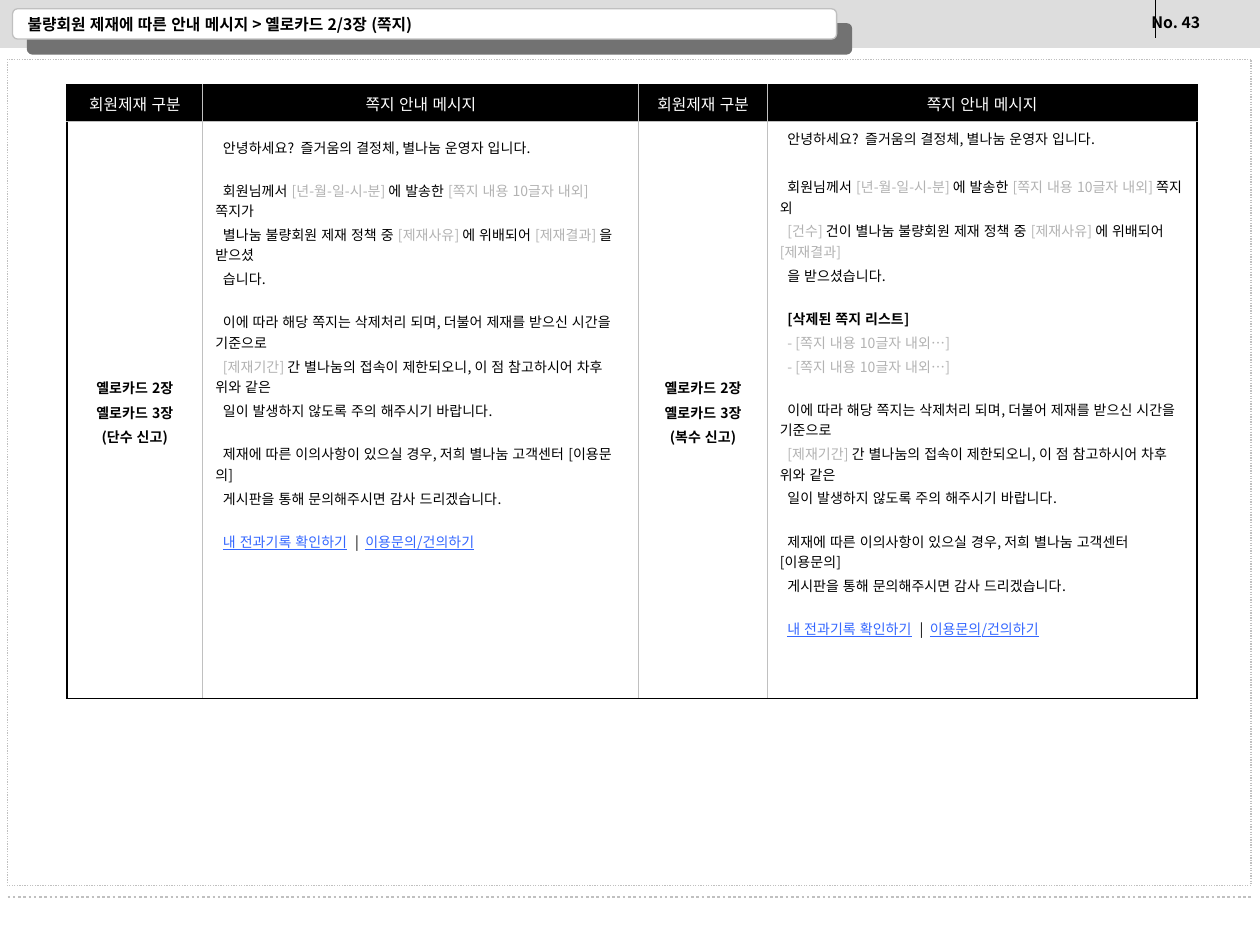
from lxml.etree import SubElement
from pptx import Presentation
from pptx.dml.color import RGBColor
from pptx.enum.dml import MSO_LINE
from pptx.enum.lang import MSO_LANGUAGE_ID
from pptx.enum.shapes import MSO_CONNECTOR, MSO_SHAPE
from pptx.enum.text import MSO_ANCHOR, PP_ALIGN
from pptx.oxml.ns import qn
from pptx.util import Inches, Pt

FONT = "Noto Sans CJK KR"
COLUMNS, ROWS = 100, 75
CELL = Inches(0.1)
COLORS = {"black": "000000", "white": "FFFFFF", "band": "DDDDDD", "rule": "C0C0C0",
          "shadow": "727272", "muted": "B2B2B2", "link": "3366FF"}
STYLES = {
    "title": ("black", {"size": Pt(9), "bold": True}),
    "header": ("white", {"size": Pt(9)}),
    "strong": ("black", {"size": Pt(8), "bold": True}),
    "body": ("black", {"size": Pt(8)}),
    "muted": ("muted", {"size": Pt(8)}),
    "link": ("link", {"size": Pt(8), "underline": True}),
}
HEADER_FORMAT = {"alignment": PP_ALIGN.CENTER}
LABEL_FORMAT = {"alignment": PP_ALIGN.CENTER, "line_spacing": 1.2}
BLOCK_GAP, LINE_GAP, FIRST_INDENT = 13, 2, Inches(0.06)

HEADINGS = ["회원제재 구분", "쪽지 안내 메시지"] * 2
COLUMN_WIDTHS = [10.8, 34.6, 10.2, 34.1]
ROW_HEIGHTS = [2.9, 45.8]
GREETING = (0, [[("body", "안녕하세요?  즐거움의 결정체, 별나눔 운영자 입니다.")]])
SENT = [("body", "회원님께서 "), ("muted", "[년-월-일-시-분] "), ("body", "에 발송한 "),
        ("muted", "[쪽지 내용 10글자 내외] ")]
DELETED_ITEM = [("muted", "- [쪽지 내용 10글자 내외…]")]
CLOSING = [
    (BLOCK_GAP, [
        [("body", "이에 따라 해당 쪽지는 삭제처리 되며, 더불어 제재를 받으신 시간을 기준으로")],
        [("muted", "[제재기간] "),
         ("body", "간 별나눔의 접속이 제한되오니, 이 점 참고하시어 차후 위와 같은")],
        [("body", "일이 발생하지 않도록 주의 해주시기 바랍니다.")],
    ]),
    (BLOCK_GAP, [
        [("body", "제재에 따른 이의사항이 있으실 경우, 저희 별나눔 고객센터 [이용문의]")],
        [("body", "게시판을 통해 문의해주시면 감사 드리겠습니다.")],
    ]),
    (BLOCK_GAP, [
        [("link", "내 전과기록 확인하기"), ("body", "  |  "), ("link", "이용문의/건의하기")],
    ]),
]
SINGLE_MESSAGE = [GREETING, (BLOCK_GAP, [
    SENT + [("body", "쪽지가")],
    [("body", "별나눔 불량회원 제재 정책 중 "), ("muted", "[제재사유] "),
     ("body", "에 위배되어 "), ("muted", "[제재결과] "), ("body", "을 받으셨")],
    [("body", "습니다.")],
])] + CLOSING
MULTIPLE_MESSAGE = [GREETING, (16, [
    SENT + [("body", "쪽지 외")],
    [("muted", "[건수] "), ("body", "건이 별나눔 불량회원 제재 정책 중 "),
     ("muted", "[제재사유] "), ("body", "에 위배되어 "), ("muted", "[제재결과]")],
    [("body", "을 받으셨습니다.")],
]), (BLOCK_GAP, [
    [("strong", "[삭제된 쪽지 리스트]")], DELETED_ITEM, DELETED_ITEM,
])] + CLOSING


def grid(*counts):
    """Turn counts of grid cells into lengths."""
    return [round(count * CELL) for count in counts]


def color(name):
    """Look up a named colour."""
    return RGBColor.from_string(COLORS[name])


def apply(target, values):
    """Set each attribute named in a dict of format values."""
    for name, value in values.items():
        setattr(target, name, value)


def add_span(para, text, style):
    """Add a styled run of text to a paragraph."""
    tone, values = STYLES[style]
    span = para.add_run()
    span.text = text
    apply(span.font, {"name": FONT, "language_id": MSO_LANGUAGE_ID.KOREAN, **values})
    span.font.color.rgb = color(tone)
    SubElement(span.font._element, qn("a:ea"), typeface=FONT)


def fill_lines(frame, lines, values):
    """Write lines of spans as paragraphs sharing one format."""
    for index, line in enumerate(lines):
        para = frame.add_paragraph() if index else frame.paragraphs[0]
        apply(para, values)
        for style, text in line:
            add_span(para, text, style)


def fill_message(frame, message):
    """Write message blocks with a wider gap before each block."""
    fill_lines(frame, [line for _, lines in message for line in lines], {})
    gaps = [LINE_GAP if index else gap for gap, lines in message for index in range(len(lines))]
    for para, gap in zip(frame.paragraphs, gaps):
        para.space_before = Pt(gap)
        para._p.get_or_add_pPr().set("indent", str(FIRST_INDENT))


def style_line(line, tone, width, dash=None):
    """Set the colour, width and dash of a line."""
    line.color.rgb = color(tone)
    apply(line, {"width": Pt(width), "dash_style": dash})


def add_panel(page, kind, place, tone, dash=None, outline=True):
    """Add a filled shape with an optional thin outline."""
    box = page.shapes.add_shape(kind, *grid(*place))
    box.shadow.inherit = False
    box.fill.solid()
    box.fill.fore_color.rgb = color(tone)
    if outline:
        style_line(box.line, "rule", 0.75, dash)
    else:
        box.line.fill.background()
    return box


def add_offset_shadow(box):
    """Give a shape a hard diagonal shadow."""
    effects = box._element.spPr.find(qn("a:effectLst"))
    shadow = SubElement(effects, qn("a:outerShdw"), dist=str(Pt(12.1)), dir="2700000",
                        algn="ctr", rotWithShape="0")
    SubElement(shadow, qn("a:srgbClr"), val=COLORS["shadow"])


def add_rule(page, ends, tone, width, dash=None):
    """Add a straight line between two grid points."""
    rule = page.shapes.add_connector(MSO_CONNECTOR.STRAIGHT, *grid(*ends))
    style_line(rule.line, tone, width, dash)
    SubElement(rule._element.spPr, qn("a:effectLst"))


def add_caption(page, place, text, values):
    """Add a text box holding one title span."""
    frame = page.shapes.add_textbox(*grid(*place)).text_frame
    apply(frame, values)
    fill_lines(frame, [[("title", text)]], {})


def add_borders(cell, outer):
    """Draw black lines on outer sides and grey hairlines inside."""
    properties = cell._tc.get_or_add_tcPr()
    for side in "LRTB":
        tone, width = ("black", 1.08) if side in outer else ("rule", 0.45)
        line = SubElement(properties, qn(f"a:ln{side}"), w=str(Pt(width)))
        SubElement(SubElement(line, qn("a:solidFill")), qn("a:srgbClr"), val=COLORS[tone])


def add_message_table(page):
    """Add the table of sanction types and their messages."""
    size = sum(COLUMN_WIDTHS), sum(ROW_HEIGHTS)
    table = page.shapes.add_table(2, 4, *grid(5.3, 6.75, *size)).table
    apply(table, {"first_row": False, "horz_banding": False})
    for column, width in zip(table.columns, grid(*COLUMN_WIDTHS)):
        column.width = width
    for row, height in zip(table.rows, grid(*ROW_HEIGHTS)):
        row.height = height
    for index, heading in enumerate(HEADINGS):
        header, body = table.cell(0, index), table.cell(1, index)
        sides = {0: "L", 3: "R"}.get(index, "")
        add_borders(header, sides + "T")
        add_borders(body, sides + "B")
        header.fill.solid()
        header.fill.fore_color.rgb = color("black")
        body.fill.background()
        header.vertical_anchor = MSO_ANCHOR.MIDDLE
        fill_lines(header.text_frame, [[("header", heading)]], HEADER_FORMAT)
    for index, report, message, margin in ((0, "(단수 신고)", SINGLE_MESSAGE, 0.12),
                                           (2, "(복수 신고)", MULTIPLE_MESSAGE, 0.05)):
        label, body = table.cell(1, index), table.cell(1, index + 1)
        label.vertical_anchor = MSO_ANCHOR.MIDDLE
        lines = [[("strong", text)] for text in ("옐로카드 2장", "옐로카드 3장", report)]
        fill_lines(label.text_frame, lines, LABEL_FORMAT)
        apply(body, {"vertical_anchor": MSO_ANCHOR.TOP, "margin_top": Inches(margin)})
        fill_message(body.text_frame, message)


def main():
    """Build the slide and save the deck."""
    deck = Presentation()
    apply(deck, {"slide_width": COLUMNS * CELL, "slide_height": ROWS * CELL})
    page = deck.slides.add_slide(deck.slide_layouts[6])
    add_panel(page, MSO_SHAPE.RECTANGLE, (0, 0, COLUMNS, 3.8), "band", outline=False)
    add_rule(page, (91.7, 0, 91.7, 3), "black", 0.75)
    add_caption(page, (90.4, 0.5, 10.8, 2.8), "No. 43", {"word_wrap": False})
    add_offset_shadow(add_panel(page, MSO_SHAPE.ROUNDED_RECTANGLE, (1, 0.7, 65.4, 2.4), "white"))
    add_rule(page, (0.6, 71.2, 99.4, 71.2), "rule", 1.5, MSO_LINE.ROUND_DOT)
    add_caption(page, (1.2, 1, 54.2, 1.8), "불량회원 제재에 따른 안내 메시지 > 옐로카드 2/3장 (쪽지)",
                {"word_wrap": True, "vertical_anchor": MSO_ANCHOR.MIDDLE})
    add_panel(page, MSO_SHAPE.RECTANGLE, (0.6, 4.7, 98.7, 65.6), "white", MSO_LINE.ROUND_DOT)
    add_message_table(page)
    deck.save("out.pptx")


if __name__ == "__main__":
    main()
